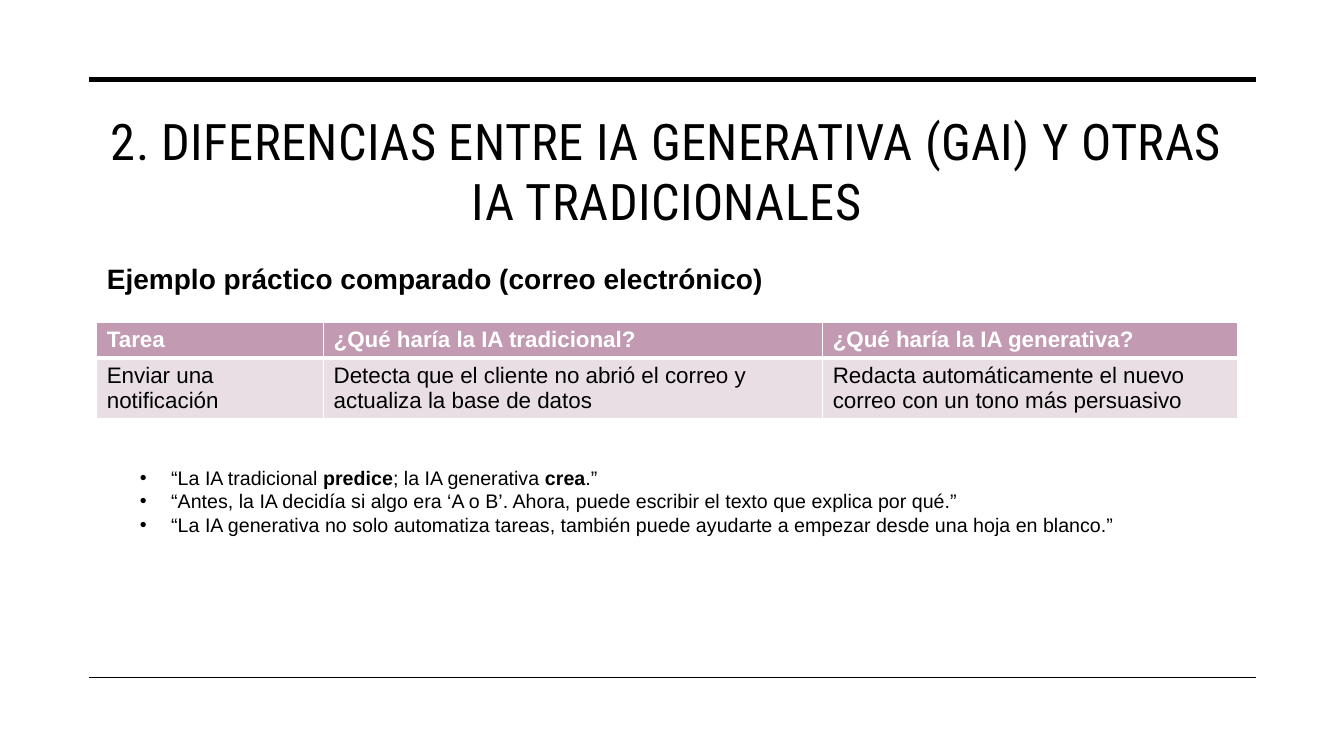
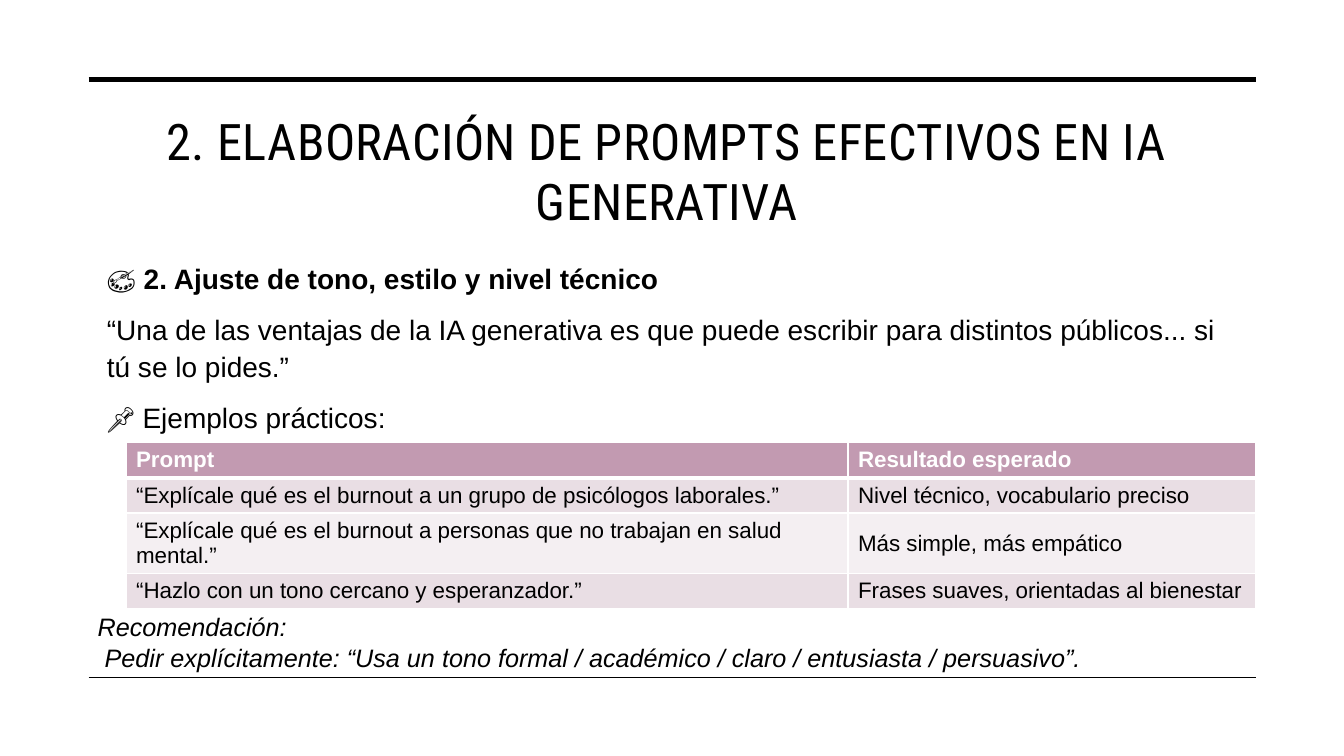
from dataclasses import dataclass

from lxml.etree import SubElement
from pptx import Presentation
from pptx.dml.color import RGBColor
from pptx.enum.shapes import MSO_CONNECTOR
from pptx.enum.text import MSO_ANCHOR, MSO_AUTO_SIZE, PP_ALIGN
from pptx.oxml import parse_xml
from pptx.oxml.ns import nsdecls, qn
from pptx.util import Inches, Pt


@dataclass(frozen=True)
class Theme:
    ink: str = "000000"
    paper: str = "FFFFFF"
    head: str = "C29AB1"
    bands: tuple = ("E9DEE4", "F4EFF2")
    display: str = "Roboto Condensed"
    text: str = "Arial"
    title: int = 36
    body: int = 20
    note: int = 18
    cell: int = 16
    quote: int = 14


@dataclass(frozen=True)
class Box:
    left: float
    top: float
    width: float
    height: float

    def inches(self):
        return [Inches(n) for n in (self.left, self.top, self.width, self.height)]


THEME = Theme()
FRAME = Box(0.88, 0.79, 11.58, 5.93)
TITLE = Box(0.77, 1.01, 11.69, 1.5)


def style(para, size, name=THEME.text, color=THEME.ink, bold=False, italic=False):
    font = para.font
    font.name, font.size = name, Pt(size)
    font.bold, font.italic = bold, italic
    font.color.rgb = RGBColor.from_string(color)


def indent(para, width, bullet=None):
    props = para._p.get_or_add_pPr()
    props.set("marL", str(Inches(width)))
    props.set("indent", str(-Inches(width)))
    if bullet:
        SubElement(props, qn("a:buFont"), typeface=THEME.text)
        SubElement(props, qn("a:buChar"), char=bullet)
    else:
        SubElement(props, qn("a:buNone"))


def paras(frame, count):
    return [frame.paragraphs[0]] + [frame.add_paragraph() for _ in range(count - 1)]


def place(shape, box):
    shape.left, shape.top, shape.width, shape.height = box.inches()
    frame = shape.text_frame
    frame.word_wrap = True
    frame.auto_size = MSO_AUTO_SIZE.NONE
    frame.vertical_anchor = MSO_ANCHOR.TOP
    frame.margin_top = Inches(0.08)
    return frame


def add_rules(slide, box):
    left, right = Inches(box.left), Inches(box.left + box.width)
    for top, weight in ((box.top, 3.5), (box.top + box.height, 1)):
        line = slide.shapes.add_connector(
            MSO_CONNECTOR.STRAIGHT, left, Inches(top), right, Inches(top))
        line.line.color.rgb = RGBColor.from_string(THEME.ink)
        line.line.width = Pt(weight)
        SubElement(line._element.spPr, qn("a:effectLst"))


def add_title(slide, box, text):
    para = place(slide.shapes.title, box).paragraphs[0]
    para.text = text
    para.alignment = PP_ALIGN.CENTER
    style(para, THEME.title, THEME.display)
    para._p.pPr.find(qn("a:defRPr")).set("spc", "30")


def add_body(slide, box, items):
    frame = place(slide.placeholders[1], box)
    for para, (text, hang, bold) in zip(paras(frame, len(items)), items):
        para.text = text
        indent(para, hang)
        para.line_spacing = 1.1
        para.space_before = Pt(10)
        style(para, THEME.body, bold=bold)


def add_box(slide, box):
    frame = slide.shapes.add_textbox(*box.inches()).text_frame
    frame.word_wrap = True
    frame.auto_size = MSO_AUTO_SIZE.SHAPE_TO_FIT_TEXT
    return frame


def add_quotes(slide, box, quotes):
    for para, parts in zip(paras(add_box(slide, box), len(quotes)), quotes):
        indent(para, 0.31, "•")
        style(para, THEME.quote)
        for num, part in enumerate(parts):
            run = para.add_run()
            run.text = part
            if num % 2:
                run.font.bold = True


def add_note(slide, box, text):
    para = add_box(slide, box).paragraphs[0]
    para.text = text
    style(para, THEME.note, italic=True)


def edge(cell, row):
    props = cell._tc.get_or_add_tcPr()
    for pos, side in enumerate("LRTB"):
        thick = (row, side) in ((0, "B"), (1, "T"))
        props.insert(pos, parse_xml(
            f'<a:ln{side} {nsdecls("a")} w="{Pt(3 if thick else 1)}"><a:solidFill>'
            f'<a:srgbClr val="{THEME.paper}"/></a:solidFill></a:ln{side}>'))


def add_grid(slide, box, cols, highs, rows):
    grid = slide.shapes.add_table(len(rows), len(cols), *box.inches()).table
    for col, width in zip(grid.columns, cols):
        col.width = Inches(width)
    for num, (high, texts) in enumerate(zip(highs, rows)):
        grid.rows[num].height = Inches(high)
        head = num == 0
        fill = THEME.head if head else THEME.bands[(num - 1) % 2]
        for col, text in enumerate(texts):
            cell = grid.cell(num, col)
            cell.text = text
            cell.vertical_anchor = MSO_ANCHOR.MIDDLE
            cell.fill.solid()
            cell.fill.fore_color.rgb = RGBColor.from_string(fill)
            style(cell.text_frame.paragraphs[0], THEME.cell,
                  color=THEME.paper if head else THEME.ink, bold=head)
            edge(cell, num)


def add_page(deck, title):
    slide = deck.slides.add_slide(deck.slide_layouts[1])
    add_rules(slide, FRAME)
    add_title(slide, TITLE, title)
    return slide


def add_compare(deck):
    slide = add_page(
        deck, "2. DIFERENCIAS ENTRE IA GENERATIVA (GAI) Y OTRAS IA TRADICIONALES")
    add_body(slide, Box(0.96, 2.48, 11.5, 0.58), [
        ("Ejemplo práctico comparado (correo electrónico)", 0.25, True)])
    add_grid(slide, Box(0.96, 3.2, 11.32, 0.95), (2.25, 4.95, 4.12), (0.35, 0.6), [
        ("Tarea", "¿Qué haría la IA tradicional?", "¿Qué haría la IA generativa?"),
        ("Enviar una notificación",
         "Detecta que el cliente no abrió el correo y actualiza la base de datos",
         "Redacta automáticamente el nuevo correo con un tono más persuasivo")])
    add_quotes(slide, Box(1.29, 4.57, 11.17, 1.11), [
        ("“La IA tradicional ", "predice", "; la IA generativa ", "crea", ".”"),
        ("“Antes, la IA decidía si algo era ‘A o B’. Ahora, puede escribir "
         "el texto que explica por qué.”",),
        ("“La IA generativa no solo automatiza tareas, también puede ayudarte "
         "a empezar desde una hoja en blanco.”",)])


def add_prompts(deck):
    slide = add_page(deck, "2. ELABORACIÓN DE PROMPTS EFECTIVOS EN IA GENERATIVA")
    add_body(slide, Box(0.96, 2.48, 11.5, 1.91), [
        ("🎨 2. Ajuste de tono, estilo y nivel técnico", 0.25, True),
        ("“Una de las ventajas de la IA generativa es que puede escribir para "
         "distintos públicos... si tú se lo pides.”", 0, False),
        ("📌 Ejemplos prácticos:", 0.25, False)])
    add_grid(slide, Box(1.25, 4.39, 11.2, 1.65), (7.16, 4.04), (0.35, 0.35, 0.6, 0.35), [
        ("Prompt", "Resultado esperado"),
        ("“Explícale qué es el burnout a un grupo de psicólogos laborales.”",
         "Nivel técnico, vocabulario preciso"),
        ("“Explícale qué es el burnout a personas que no trabajan en salud mental.”",
         "Más simple, más empático"),
        ("“Hazlo con un tono cercano y esperanzador.”",
         "Frases suaves, orientadas al bienestar")])
    add_note(slide, Box(0.87, 6.02, 11.68, 0.71),
             "Recomendación:\v Pedir explícitamente: “Usa un tono formal / académico "
             "/ claro / entusiasta / persuasivo”.")


def main():
    deck = Presentation()
    deck.slide_width, deck.slide_height = Inches(13.33), Inches(7.5)
    add_compare(deck)
    add_prompts(deck)
    deck.save("out.pptx")


if __name__ == "__main__":
    main()
